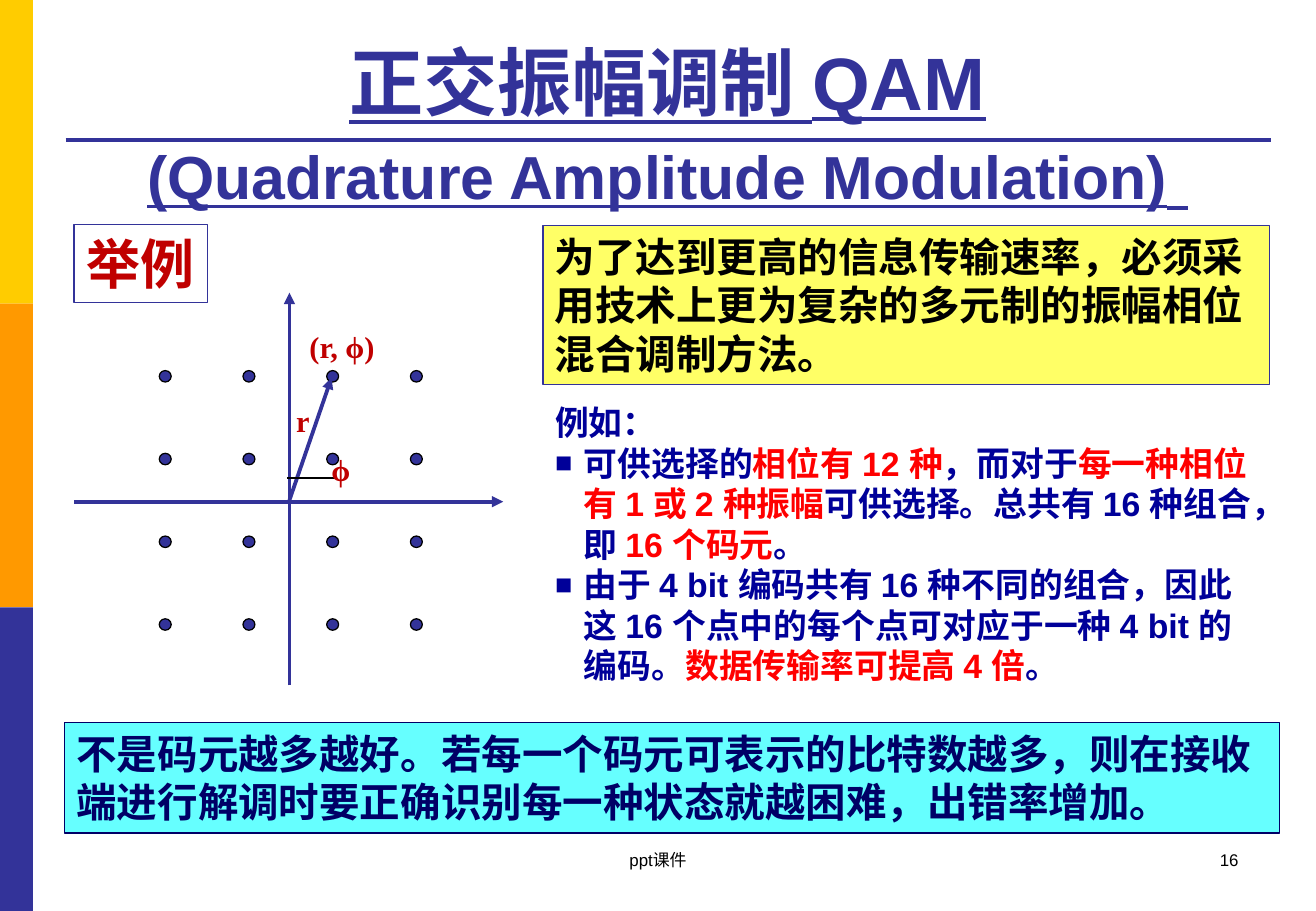
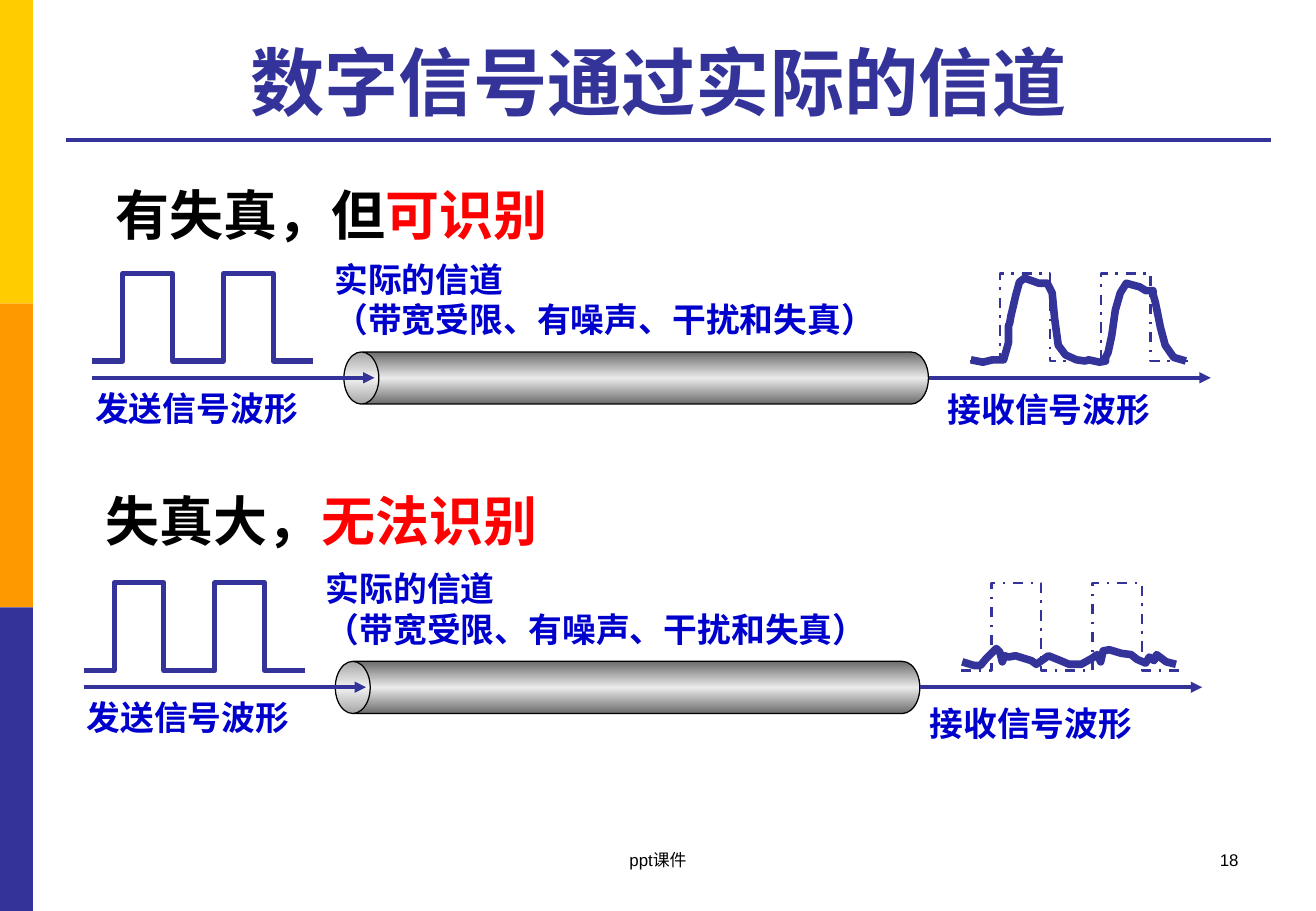
from copy import deepcopy
from dataclasses import dataclass

from lxml import etree
from pptx import Presentation
from pptx.dml.color import RGBColor
from pptx.enum.dml import MSO_LINE
from pptx.enum.shapes import MSO_CONNECTOR, MSO_SHAPE
from pptx.enum.text import MSO_ANCHOR, MSO_AUTO_SIZE, PP_ALIGN
from pptx.oxml.ns import qn
from pptx.util import Cm, Pt

RECT, OVAL, CAN = MSO_SHAPE.RECTANGLE, MSO_SHAPE.OVAL, MSO_SHAPE.CAN
STRAIGHT = MSO_CONNECTOR.STRAIGHT
DASH_DOT = MSO_LINE.DASH_DOT
TOP, BOTTOM = MSO_ANCHOR.TOP, MSO_ANCHOR.BOTTOM
LEFT, CENTER, RIGHT = PP_ALIGN.LEFT, PP_ALIGN.CENTER, PP_ALIGN.RIGHT
NO_FIT = MSO_AUTO_SIZE.NONE

COLORS = {
    "gold": "FFCC00", "orange": "FF9900", "indigo": "333399", "black": "000000",
    "red": "FF0000", "crimson": "C00000", "navy": "000066", "list": "000099",
    "label": "0000CC", "cyan": "66FFFF", "yellow": "FFFF66",
    "pipe edge": "6C6C6C", "pipe middle": "EAEAEA",
}
SANS, SERIF, CJK = "Arial", "Times New Roman", "Noto Sans CJK SC"
TITLE_ONLY, TITLE_AND_BODY = 5, 1

# Waveforms, in hundredths of an inch from the start of the ideal pulse
WAVE_UNIT = Cm(2.54) / 100
PULSE = [(0, 72), (25, 72), (25, 0), (66, 0), (66, 72),
         (108, 72), (108, 0), (149, 0), (149, 72), (182, 72)]
MILD_DISTORTION = [
    (1, 71), (11, 73), (15, 72), (19, 71), (28, 71), (32, 57), (32, 43), (33, 41),
    (34, 35), (35, 31), (38, 18), (41, 7), (45, 4), (46, 4), (57, 8), (64, 8),
    (68, 16), (70, 37), (73, 59), (79, 67), (88, 71), (95, 72), (98, 71), (107, 73),
    (112, 72), (112, 69), (114, 65), (117, 51), (120, 30), (124, 16), (129, 8),
    (140, 11), (145, 14), (151, 14), (151, 17), (153, 24), (157, 44), (161, 59),
    (168, 69), (178, 72)]
SEVERE_DISTORTION = [
    (1, 65), (11, 68), (16, 68), (21, 62), (29, 54), (32, 57), (34, 65), (36, 60),
    (39, 61), (45, 60), (58, 64), (62, 67), (72, 60), (82, 64), (89, 67), (99, 67),
    (108, 62), (112, 59), (115, 65), (117, 56), (122, 55), (132, 58), (140, 59),
    (145, 63), (152, 66), (155, 61), (159, 64), (161, 59), (169, 65), (177, 67)]

Run = tuple[str, str]
Point = tuple[float, float]


@dataclass(frozen=True)
class Box:
    """Position and size in centimetres."""
    left: float
    top: float
    width: float
    height: float

    def lengths(self) -> tuple[Cm, Cm, Cm, Cm]:
        return Cm(self.left), Cm(self.top), Cm(self.width), Cm(self.height)


@dataclass(frozen=True)
class Channel:
    """One transmission: sent pulse, pipe and received signal."""
    left: float
    top: float
    heading: list[Run]
    heading_box: Box
    heading_spacing: float
    received: list[Point]
    received_box: Box


def rgb(color: str) -> RGBColor:
    return RGBColor.from_string(COLORS[color])


# Text
def add_run(paragraph, text: str, *, size: float, color: str, font: str = SANS,
            bold: bool = True, underline: bool = False) -> None:
    run = paragraph.add_run()
    run.text = text
    run.font.name, run.font.size = font, Pt(size)
    run.font.bold, run.font.underline = bold, underline
    run.font.color.rgb = rgb(color)
    latin = run.font._element.find(qn("a:latin"))
    latin.addnext(etree.Element(qn("a:ea"), typeface=CJK))


def fill_frame(frame, paragraphs: list[list[Run]], *, wrap: bool = True,
               align=LEFT, spacing: float = 1.0, **run_format) -> None:
    frame.word_wrap, frame.auto_size, frame.vertical_anchor = wrap, NO_FIT, TOP
    for index, runs in enumerate(paragraphs):
        paragraph = frame.add_paragraph() if index else frame.paragraphs[0]
        paragraph.alignment = align
        paragraph.space_before = Pt(0)
        paragraph.line_spacing = spacing
        for text, color in runs:
            add_run(paragraph, text, color=color, **run_format)


def add_text(slide, box: Box, paragraphs: list[list[Run]], **text_format) -> None:
    fill_frame(slide.shapes.add_textbox(*box.lengths()).text_frame,
               paragraphs, **text_format)


def set_bullet(paragraph, char: str | None, indent: float = 0) -> None:
    properties = paragraph._p.get_or_add_pPr()
    properties.set("marL", str(Cm(indent)))
    properties.set("indent", str(-Cm(indent)))
    if char is None:
        etree.SubElement(properties, qn("a:buNone"))
        return
    etree.SubElement(properties, qn("a:buSzPct"), val="85000")
    etree.SubElement(properties, qn("a:buFont"), typeface=SANS)
    etree.SubElement(properties, qn("a:buChar"), char=char)


# Shapes and lines
def add_block(slide, kind, box: Box, *, fill: str | None = None,
              line: str | None = None):
    block = slide.shapes.add_shape(kind, *box.lengths())
    block.shadow.inherit = False
    if fill:
        block.fill.solid()
        block.fill.fore_color.rgb = rgb(fill)
    else:
        block.fill.background()
    if line:
        block.line.color.rgb, block.line.width = rgb(line), Pt(0.75)
    else:
        block.line.fill.background()
    return block


def add_line(slide, start: Point, end: Point, *, arrow: bool = True) -> None:
    connector = slide.shapes.add_connector(
        STRAIGHT, *(Cm(value) for value in (*start, *end)))
    connector.line.color.rgb, connector.line.width = rgb("indigo"), Pt(2.25)
    if arrow:
        etree.SubElement(connector.line._get_or_add_ln(), qn("a:tailEnd"),
                         type="triangle")
    etree.SubElement(connector._element.spPr, qn("a:effectLst"))


def add_curve(slide, points: list[Point], *, left: float = 0, top: float = 0,
              unit: float = Cm(1), color: str = "indigo", width: float,
              dash=None) -> None:
    builder = slide.shapes.build_freeform(*points[0], scale=unit)
    builder.add_line_segments(points[1:], close=False)
    curve = builder.convert_to_shape(Cm(left), Cm(top))
    curve.shadow.inherit = False
    curve.fill.background()
    curve.line.color.rgb, curve.line.width = rgb(color), Pt(width)
    if dash:
        curve.line.dash_style = dash


def add_pipe(slide, box: Box) -> None:
    """A can laid on its side so that it fills the box."""
    shift = (box.width - box.height) / 2
    upright = Box(box.left + shift, box.top - shift, box.height, box.width)
    pipe = add_block(slide, CAN, upright, line="black")
    pipe.rotation = 270
    pipe.adjustments[0] = 0.67
    pipe.fill.gradient()
    pipe.fill.gradient_angle = 0
    stop_list = pipe._element.spPr.find(".//" + qn("a:gsLst"))
    stop_list.append(deepcopy(stop_list[0]))
    shades = ("pipe edge", "pipe middle", "pipe edge")
    for index, (stop, shade) in enumerate(zip(pipe.fill.gradient_stops, shades)):
        stop.position = index / 2
        stop.color.rgb = rgb(shade)


# Parts shared by the slides
def start_slide(prs, layout: int, number: int, title_lines: list[list[tuple[str, int]]],
                *, title_height: float, underline: bool = False):
    slide = prs.slides.add_slide(prs.slide_layouts[layout])
    for index, color in enumerate(("gold", "orange", "indigo")):
        add_block(slide, RECT, Box(0, index * 6.35, 0.69, 6.35), fill=color)
    add_line(slide, (1.37, 2.92), (26.57, 2.92), arrow=False)

    title = slide.shapes.title
    title.left, title.top, title.width, title.height = Box(
        1.37, 0.53, 25.17, title_height).lengths()
    frame = title.text_frame
    frame.vertical_anchor, frame.auto_size = BOTTOM, NO_FIT
    heading = frame.paragraphs[0]
    heading.alignment = CENTER
    for index, line in enumerate(title_lines):
        if index:
            heading.add_line_break()
        for text, size in line:
            add_run(heading, text, size=size, color="indigo", underline=underline)

    for box, text, align in ((Box(19.71, 17.65, 6.43, 1.27), str(number), RIGHT),
                             (Box(9.4, 17.65, 8.71, 1.27), "ppt课件", CENTER)):
        add_text(slide, box, [[(text, "black")]], size=10, bold=False, align=align)
    return slide


# Slide on quadrature amplitude modulation
def add_constellation(slide) -> None:
    add_line(slide, (6.05, 14.33), (6.05, 6.12))
    for row in range(4):
        for column in range(4):
            add_block(slide, OVAL,
                      Box(3.33 + column * 1.75, 7.75 + row * 1.73, 0.25, 0.24),
                      fill="indigo", line="black")
    add_line(slide, (1.55, 10.49), (10.52, 10.49))
    add_line(slide, (6.05, 10.46), (6.93, 7.9))
    add_curve(slide, [(6.32, 9.65), (6.55, 9.78), (6.78, 9.98), (6.86, 10.21),
                      (6.91, 10.49)], color="black", width=1.5)
    for text, box in (("r", Box(5.94, 8.28, 0.79, 1.02)),
                      ("ϕ", Box(6.68, 9.32, 0.89, 1.02)),
                      ("(r, ϕ)", Box(6.22, 6.73, 1.88, 1.02))):
        add_text(slide, box, [[(text, "crimson")]], size=18, font=SERIF, wrap=False)


def build_qam_slide(prs) -> None:
    slide = start_slide(
        prs, TITLE_AND_BODY, 16,
        [[("正交振幅调制 QAM", 44)],
         [("(Quadrature Amplitude Modulation)", 36), (" ", 44)]],
        title_height=4.09, underline=True)
    add_constellation(slide)

    # Framed statements
    for box, fill, line, text, color, size in (
            (Box(1.35, 15.11, 25.4, 2.31), "cyan", "navy",
             "不是码元越多越好。若每一个码元可表示的比特数越多，则在接收"
             "端进行解调时要正确识别每一种状态就越困难，出错率增加。", "navy", 24),
            (Box(1.55, 4.7, 2.79, 1.63), None, "indigo", "举例", "crimson", 32),
            (Box(11.35, 4.72, 15.19, 3.33), "yellow", "indigo",
             "为了达到更高的信息传输速率，必须采用技术上更为复杂的多元制的"
             "振幅相位混合调制方法。", "black", 24)):
        statement = add_block(slide, RECT, box, fill=fill, line=line)
        fill_frame(statement.text_frame, [[(text, color)]], size=size)

    # Worked example
    example = slide.placeholders[1]
    example.left, example.top, example.width, example.height = Box(
        11.35, 8.28, 15.19, 6.25).lengths()
    fill_frame(example.text_frame, [
        [("例如：", "list")],
        [("可供选择的", "list"), ("相位有 12 种", "red"), ("，而对于", "list"),
         ("每一种相位有 1 或 2 种振幅", "red"),
         ("可供选择。总共有 16 种组合，即 ", "list"), ("16 个码元", "red"),
         ("。", "list")],
        [("由于 4 bit 编码共有 16 种不同的组合，因此这 16 个点中的每个点"
          "可对应于一种 4 bit 的编码。", "list"),
         ("数据传输率可提高 4 倍", "red"), ("。", "list")],
    ], size=20)
    intro, *points = example.text_frame.paragraphs
    set_bullet(intro, None)
    for point in points:
        set_bullet(point, "■", 0.6)


# Slide on real channels
CHANNELS = [
    Channel(1.93, 5.72, [("有失真，但", "black"), ("可识别", "red")],
            Box(2.16, 3.53, 9.68, 1.75), 1.1,
            MILD_DISTORTION, Box(19.56, 8, 5.79, 1.09)),
    Channel(1.75, 12.19, [("失真大，", "black"), ("无法识别", "red")],
            Box(1.96, 10.06, 9.98, 1.63), 1.0,
            SEVERE_DISTORTION, Box(19.18, 14.58, 5.56, 1.09)),
]


def add_channel(slide, channel: Channel) -> None:
    left, top = channel.left, channel.top
    axis, receiver = top + 2.18, left + 18.34
    add_pipe(slide, Box(left + 5.26, axis - 0.54, 12.22, 1.09))
    add_curve(slide, PULSE, left=left, top=top, unit=WAVE_UNIT, width=3)
    add_curve(slide, PULSE, left=receiver, top=top, unit=WAVE_UNIT, width=1.5,
              dash=DASH_DOT)
    add_curve(slide, channel.received, left=receiver, top=top, unit=WAVE_UNIT,
              width=4.5)
    for start in (left, left + 17.48):
        add_line(slide, (start, axis), (start + 5.9, axis))

    add_text(slide, channel.heading_box, [channel.heading], size=32,
             spacing=channel.heading_spacing)
    add_text(slide, Box(left + 4.81, top - 0.44, 11.91, 1.96),
             [[("实际的信道", "label")], [("（带宽受限、有噪声、干扰和失真）", "label")]],
             size=20, font=SERIF)
    for box, text in ((Box(left - 0.19, top + 2.26, 4.78, 1.12), "发送信号波形"),
                      (channel.received_box, "接收信号波形")):
        add_text(slide, box, [[(text, "label")]], size=20, font=CJK)


def build_channel_slide(prs) -> None:
    slide = start_slide(prs, TITLE_ONLY, 18, [[("数字信号通过实际的信道 ", 44)]],
                        title_height=2.21)
    for channel in CHANNELS:
        add_channel(slide, channel)


def main() -> None:
    prs = Presentation()
    prs.slide_width, prs.slide_height = Cm(27.51), Cm(19.05)
    build_qam_slide(prs)
    build_channel_slide(prs)
    prs.save("out.pptx")


if __name__ == "__main__":
    main()
